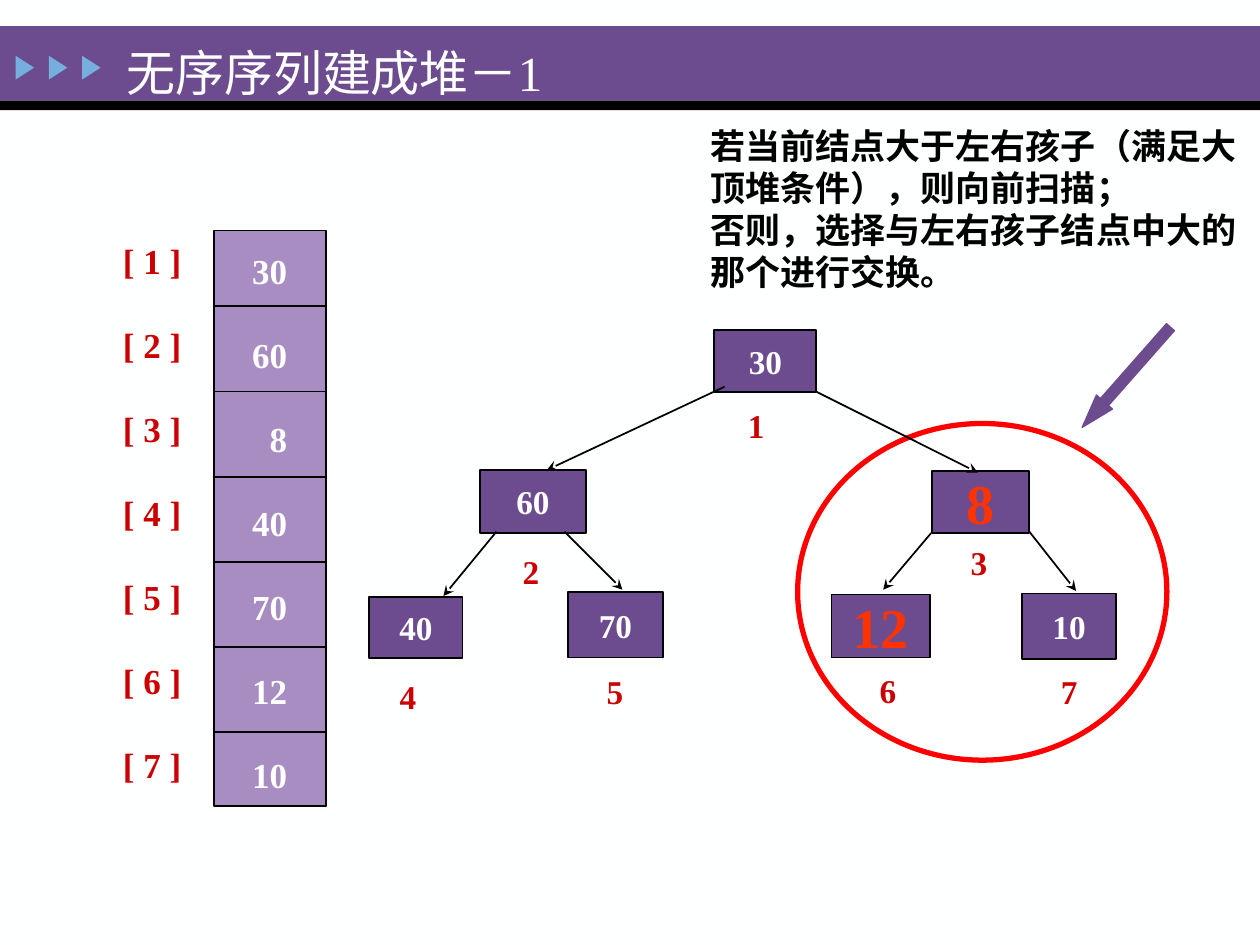
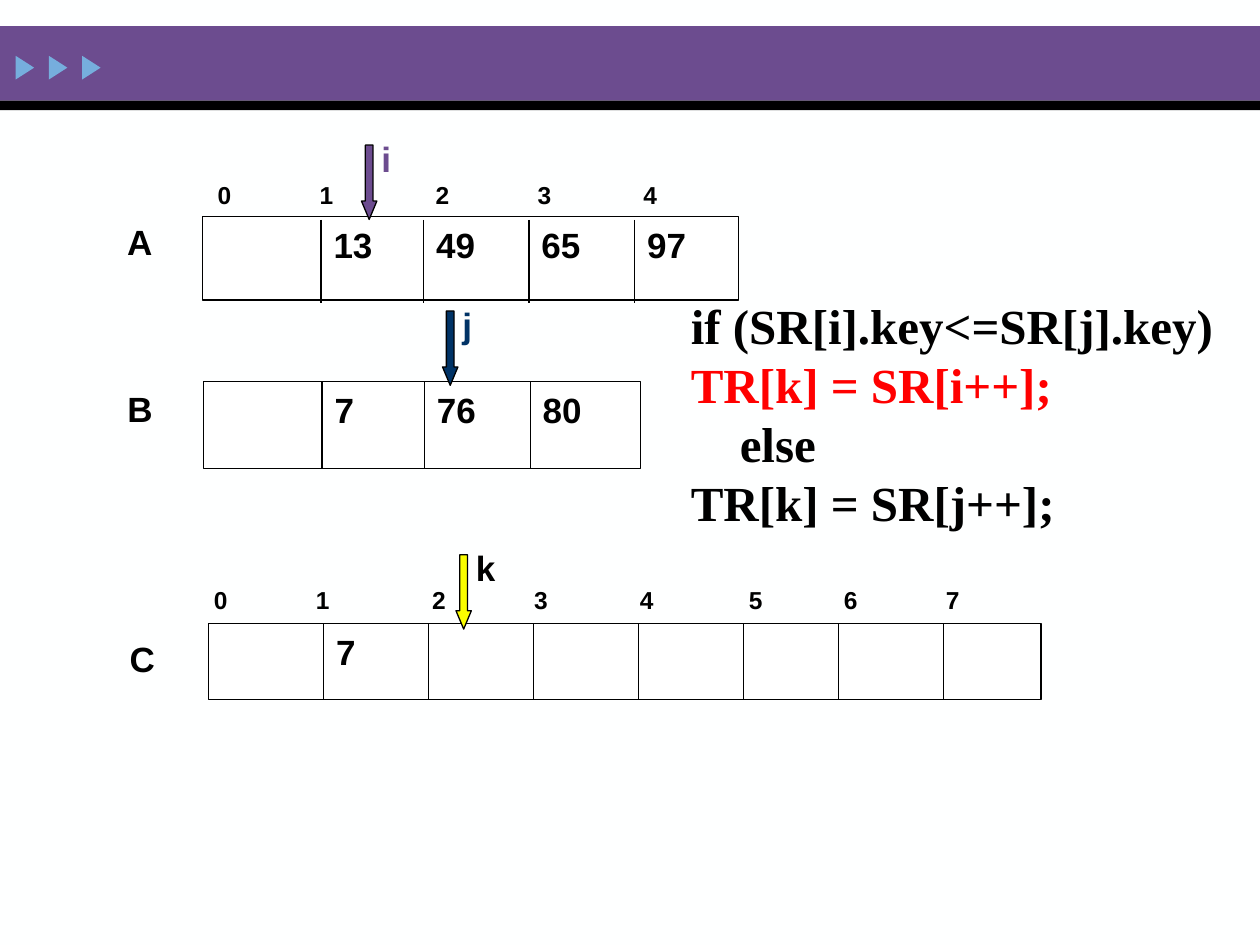
from lxml import etree
from pptx import Presentation
from pptx.dml.color import RGBColor
from pptx.enum.shapes import MSO_CONNECTOR, MSO_SHAPE
from pptx.enum.text import MSO_ANCHOR, MSO_AUTO_SIZE, PP_ALIGN
from pptx.oxml.ns import qn
from pptx.util import Pt

RECTANGLE, ELLIPSE = MSO_SHAPE.RECTANGLE, MSO_SHAPE.OVAL
TRIANGLE = MSO_SHAPE.ISOSCELES_TRIANGLE
LEFT_ARROW, DOWN_ARROW = MSO_SHAPE.LEFT_ARROW, MSO_SHAPE.DOWN_ARROW
STRAIGHT = MSO_CONNECTOR.STRAIGHT
LEFT, CENTER, RIGHT = PP_ALIGN.LEFT, PP_ALIGN.CENTER, PP_ALIGN.RIGHT
TOP, MIDDLE = MSO_ANCHOR.TOP, MSO_ANCHOR.MIDDLE
NO_FIT = MSO_AUTO_SIZE.NONE

SLIDE_WIDTH, SLIDE_HEIGHT = 720, 540
TITLE_ONLY, BLANK = 5, 6
SERIF, SANS = "Times New Roman", "Arial"
LINE_FACTOR = 1.2
COLORS = {
    "page": "FEFFFF", "purple": "6C4C8F", "lilac": "A78DC2", "blue": "76AEDD",
    "black": "000000", "white": "FFFFFF", "red": "FF0000", "index": "CC0000",
    "swap": "FF3300", "navy": "003366", "yellow": "FAFD00",
}


def rgb(name):
    return RGBColor.from_string(COLORS[name])


# Shared building blocks
def add_box(slide, kind, left, top, width, height, fill, line=None, weight=1.0):
    shape = slide.shapes.add_shape(kind, Pt(left), Pt(top), Pt(width), Pt(height))
    shape.shadow.inherit = False
    shape.fill.solid()
    shape.fill.fore_color.rgb = rgb(fill)
    if line:
        shape.line.color.rgb = rgb(line)
        shape.line.width = Pt(weight)
    else:
        shape.line.fill.background()
    return shape


def add_line(slide, start, end, weight=1.0, arrow=False):
    connector = slide.shapes.add_connector(
        STRAIGHT, Pt(start[0]), Pt(start[1]), Pt(end[0]), Pt(end[1]))
    connector.line.color.rgb = rgb("black")
    connector.line.width = Pt(weight)
    if arrow:
        outline = connector.line._get_or_add_ln()
        etree.SubElement(outline, qn("a:tailEnd"), type="stealth")
    etree.SubElement(connector._element.spPr, qn("a:effectLst"))


def write(shape, lines, size, color="black", font=SERIF, bold=True, align=LEFT,
          anchor=TOP, inset=(7.2, 3.6), gap=0, line_factor=LINE_FACTOR, tabs=()):
    """Fill a shape with lines; a line is a string or a (string, colour) pair."""
    frame = shape.text_frame
    frame.word_wrap = True
    frame.auto_size = NO_FIT
    frame.vertical_anchor = anchor
    frame.margin_left = frame.margin_right = Pt(inset[0])
    frame.margin_top = frame.margin_bottom = Pt(inset[1])
    for number, line in enumerate(lines):
        text, line_color = (line, color) if isinstance(line, str) else line
        paragraph = frame.paragraphs[0] if number == 0 else frame.add_paragraph()
        paragraph.alignment = align
        paragraph.line_spacing = Pt(round(size * line_factor, 2))
        paragraph.space_before = Pt(gap if number else 0)
        if tabs:
            tab_list = etree.SubElement(paragraph._p.get_or_add_pPr(), qn("a:tabLst"))
            for stop in tabs:
                etree.SubElement(tab_list, qn("a:tab"), pos=str(int(Pt(stop))), algn="l")
        run = paragraph.add_run()
        run.text = text
        run.font.size = Pt(size)
        run.font.name = font
        run.font.bold = bold
        run.font.color.rgb = rgb(line_color)


def add_text(slide, left, top, width, height, lines, size, **style):
    box = slide.shapes.add_textbox(Pt(left), Pt(top), Pt(width), Pt(height))
    write(box, lines, size, **style)


def add_page(presentation, layout, title_text=None):
    slide = presentation.slides.add_slide(presentation.slide_layouts[layout])
    slide.background.fill.solid()
    slide.background.fill.fore_color.rgb = rgb("page")
    # Header band with its underline and three markers
    add_box(slide, RECTANGLE, 0, 15, SLIDE_WIDTH, 42.5, "purple")
    add_box(slide, RECTANGLE, 0, 57.5, SLIDE_WIDTH, 5.5, "black")
    for marker in range(3):
        add_box(slide, TRIANGLE, 7.4 + 19 * marker, 33.4, 13.6, 10.6, "blue").rotation = 90
    if title_text:
        title = slide.shapes.title
        title.left, title.top, title.width, title.height = Pt(65), Pt(12.2), Pt(321), Pt(42)
        write(title, [title_text], 28, color="page", bold=False,
              line_factor=LINE_FACTOR * 1.25)
        title.element.getparent().append(title.element)
    return slide


# Slide 1: heap stored as a column, and as a tree
def add_heap_column(slide, left, top, values):
    width, height, first, pitch = 64.2, 329, 43.2, 48.7
    add_box(slide, RECTANGLE, left, top, width, height, "lilac", "black")
    for row in range(len(values) - 1):
        y = top + first + pitch * row
        add_line(slide, (left, y), (left + width, y))
    indices = [f"[ {number} ]" for number in range(1, len(values) + 1)]
    list_style = {"size": 20, "gap": 24.06}
    add_text(slide, left - 59, top + 1.3, 48.2, 322, indices, color="index", **list_style)
    add_text(slide, left + 14.4, top + 7, 34.6, 322, values, color="page",
             align=RIGHT, **list_style)


# Each node: left, top, width, height, value, then the centre of its number
HEAP_NODES = [
    (198.2, 0.6, 58.3, 35.3, "30", 222, 56),
    (64.3, 80.6, 60.5, 36, "60", 93.4, 139.4),
    (322.8, 81.3, 55.4, 35.3, "8", 349.4, 134.3),
    (1, 153.3, 53.3, 34.6, "40", 23.1, 210.9),
    (114.7, 150.4, 54, 37.4, "70", 141.4, 208),
    (265.2, 151.8, 56.2, 36, "12", 297.4, 207.4),
    (373.9, 151.1, 54, 37.4, "10", 400.9, 208),
]
HEAP_EDGES = [
    ((204, 33), (102.5, 80.6)), ((256.6, 35.9), (348.7, 82)),
    ((73.7, 115.8), (43.4, 152.6)), ((112.6, 115.8), (145.7, 149)),
    ((322.1, 116.6), (294.7, 149)), ((378.2, 115.8), (404.9, 149.7)),
]
SWAPPED = {"8", "12"}


def add_heap_tree(slide, left, top):
    # Ring around the subtree being adjusted
    add_box(slide, ELLIPSE, left + 245.8, top + 54, 211, 192.4, "white", "red", 3)
    for number, (x, y, width, height, value, label_x, label_y) in enumerate(HEAP_NODES, 1):
        node = add_box(slide, RECTANGLE, left + x, top + y, width, height, "purple", "black")
        size, color = (32, "swap") if value in SWAPPED else (19, "page")
        write(node, [value], size, color=color, align=CENTER, anchor=MIDDLE, inset=(0, 0))
        add_text(slide, left + label_x - 12, top + label_y - 13, 24, 24, [str(number)], 19,
                 color="index", align=CENTER, anchor=MIDDLE, inset=(0, 0))
    for start, end in HEAP_EDGES:
        add_line(slide, (left + start[0], top + start[1]),
                 (left + end[0], top + end[1]), arrow=True)
    # Arrow pointing at the ring
    pointer = add_box(slide, LEFT_ARROW, left + 395.5, top + 21.5, 76.3, 12.2,
                      "purple", "purple", 0.75)
    pointer.rotation = 311.4
    pointer.adjustments[0], pointer.adjustments[1] = 0.5, 1.583


def build_heap_slide(presentation):
    slide = add_page(presentation, TITLE_ONLY, "无序序列建成堆－1")
    add_heap_tree(slide, 210, 188)
    add_heap_column(slide, 122.2, 131.8, ["30", "60", "8", "40", "70", "12", "10"])
    add_text(slide, 398.9, 67.7, 319.7, 104.4, [
        "若当前结点大于左右孩子（满足大顶堆条件），则向前扫描；",
        "否则，选择与左右孩子结点中大的那个进行交换。",
    ], 20)


# Slide 2: merging two sorted arrays
INDEX_TABS = [58.3, 124.6, 182.9, 243.4, 305.7, 360, 418.3]


def add_array(slide, left, top, width, height, name, name_at, dividers, values,
              divider_shift=0):
    """Draw a row of cells; values start in the cell after the first divider."""
    style = {"size": 20, "font": SANS}
    add_box(slide, RECTANGLE, left, top, width, height, "white", "black", 0.75)
    for x in dividers:
        add_line(slide, (left + x, top + divider_shift),
                 (left + x, top + height + divider_shift), 0.75)
    for x, value in zip(dividers, values):
        add_text(slide, left + x, top + 0.5, 48, 31, [value], **style)
    add_text(slide, left + name_at[0], top + name_at[1], 48, 31, [name], **style)


def add_index_row(slide, left, top, width, count):
    add_text(slide, left, top, width, 24, ["\t".join(map(str, range(count)))], 14,
             font=SANS, tabs=INDEX_TABS[:count - 1])


def add_pointer(slide, left, top, name, fill, text_color):
    arrow = add_box(slide, DOWN_ARROW, left, top, 8.8, 42.5, fill, "black", 0.75)
    arrow.adjustments[0], arrow.adjustments[1] = 0.5, 1.194
    add_text(slide, left + 4.2, top - 8, 38, 31, [name], 20, color=text_color, font=SANS)


def build_merge_slide(presentation):
    slide = add_page(presentation, BLANK)
    add_index_row(slide, 117.2, 99.4, 306, 5)
    add_array(slide, 115.9, 123.8, 306, 47.6, "A", (-50.4, -1.4),
              [67.6, 126.2, 186.4, 246.8], ["13", "49", "65", "97"], divider_shift=1.8)
    add_array(slide, 116.2, 218, 249.8, 49.7, "B", (-50.5, 0),
              [67.9, 126.3, 186.8], ["7", "76", "80"])
    add_index_row(slide, 115.2, 330.5, 479.5, 8)
    add_array(slide, 119, 356.5, 476, 43.3, "C", (-52, 4.3),
              [66, 126, 186, 246, 306, 360, 420], ["7"])
    add_pointer(slide, 206.6, 82.9, "i", "purple", "purple")
    add_pointer(slide, 252.9, 177.7, "j", "navy", "navy")
    add_pointer(slide, 260.6, 317, "k", "yellow", "black")
    # Merge step in code
    add_text(slide, 387.7, 165.6, 332.3, 156, [
        "if (SR[i].key<=SR[j].key)",
        ("TR[k] = SR[i++];", "red"),
        "    else",
        "TR[k] = SR[j++];",
    ], 28)


def main():
    presentation = Presentation()
    presentation.slide_width = Pt(SLIDE_WIDTH)
    presentation.slide_height = Pt(SLIDE_HEIGHT)
    build_heap_slide(presentation)
    build_merge_slide(presentation)
    presentation.save("out.pptx")


if __name__ == "__main__":
    main()
